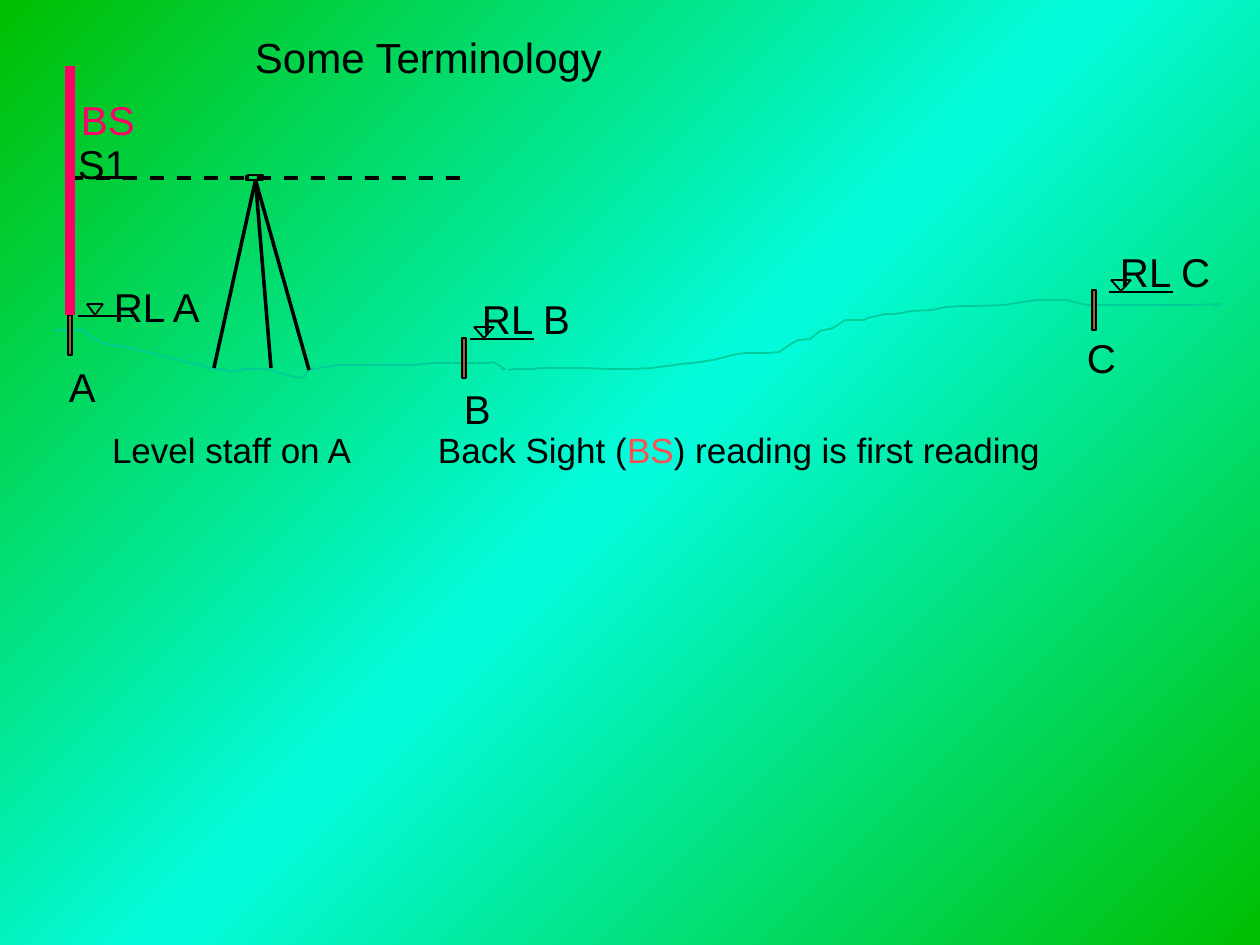
from copy import deepcopy
from dataclasses import dataclass

from lxml import etree
from pptx import Presentation
from pptx.dml.color import RGBColor
from pptx.enum.shapes import MSO_CONNECTOR, MSO_SHAPE
from pptx.enum.text import MSO_ANCHOR, PP_ALIGN
from pptx.oxml.ns import qn
from pptx.util import Emu, Pt

STRAIGHT = MSO_CONNECTOR.STRAIGHT
RECTANGLE = MSO_SHAPE.RECTANGLE
TOP, LEFT = MSO_ANCHOR.TOP, PP_ALIGN.LEFT
TOP_SIDE, BOTTOM_SIDE = 0, 2
EMU_PER_PX = 914400 / 126


@dataclass(frozen=True)
class Theme:
    """Colours, font and type sizes of the slide."""
    font: str = "Arial"
    title: int = 24
    label: int = 23
    caption: int = 20
    ink: RGBColor = RGBColor(0, 0, 0)
    ground: RGBColor = RGBColor(0x00, 0xCC, 0x99)
    peg: RGBColor = RGBColor(0x99, 0x66, 0x33)
    staff: RGBColor = RGBColor(0xFF, 0x00, 0x66)
    sight: RGBColor = RGBColor(0xFF, 0x50, 0x50)
    edge: RGBColor = RGBColor(0x00, 0xBE, 0x00)
    middle: RGBColor = RGBColor(0x04, 0xFC, 0xDE)


THEME = Theme()

GROUND_LEFT = [
    (54, 330), (83, 330), (88, 335), (95, 339), (101, 342), (110, 345), (126, 347),
    (137, 350), (151, 353), (171, 358), (187, 362), (203, 366), (213, 369), (222, 369),
    (231, 372), (246, 369), (268, 369), (286, 375), (299, 378), (304, 377), (309, 370),
    (325, 367), (339, 365), (415, 365), (433, 363), (490, 363), (493, 362), (505, 369),
    (501, 369),
]
GROUND_RIGHT = [
    (508, 370), (515, 369), (534, 369), (539, 368), (582, 368), (609, 369), (634, 369),
    (651, 368), (675, 365), (680, 364), (693, 363), (713, 360), (721, 358), (737, 354),
    (746, 353), (766, 353), (779, 352), (791, 344), (798, 340), (810, 339), (820, 331),
    (833, 328), (845, 320), (864, 320), (868, 318), (885, 314), (895, 314), (912, 311),
    (932, 310), (946, 307), (960, 306), (979, 306), (1004, 305), (1023, 302), (1037, 300),
    (1068, 300), (1074, 302), (1082, 304), (1089, 305), (1191, 305), (1221, 304),
    (1216, 304), (1216, 307),
]


def px(*lengths):
    """Turn pixel lengths into EMU."""
    return [Emu(round(length * EMU_PER_PX)) for length in lengths]


def paint_background(page):
    """Fill the page with a diagonal gradient of three stops."""
    fill = page.background.fill
    fill.gradient()
    fill.gradient_angle = 135
    stop_list = page.element.find(".//" + qn("a:gsLst"))
    stop_list.insert(1, deepcopy(stop_list[0]))
    colors = (THEME.edge, THEME.middle, THEME.edge)
    for stop, place, color in zip(fill.gradient_stops, (0, 0.5, 1), colors):
        stop.position = place
        stop.color.rgb = color


def write(box, spans, size):
    """Set one unwrapped line of coloured spans in a box."""
    frame = box.text_frame
    frame.word_wrap = False
    frame.vertical_anchor = TOP
    para = frame.paragraphs[0]
    para.alignment = LEFT
    para.font.name = THEME.font
    para.font.size = Pt(size)
    for text, color in spans:
        span = para.add_run()
        span.text = text
        span.font.color.rgb = color


def add_title(page, text):
    """Place and format the title."""
    title = page.shapes.title
    title.left, title.top, title.width, title.height = px(242, 25, 378, 63)
    frame = title.text_frame
    frame.margin_left, frame.margin_right = px(13, 13)
    frame.margin_top, frame.margin_bottom = px(6, 6)
    write(title, [(text, THEME.ink)], THEME.title)


def add_text(shapes, left, top, width, height, spans, size):
    """Add a text box without margins."""
    box = shapes.add_textbox(*px(left, top, width, height))
    frame = box.text_frame
    frame.margin_left = frame.margin_right = frame.margin_top = frame.margin_bottom = 0
    write(box, spans, size)


def add_label(shapes, left, top, width, text, color=THEME.ink):
    """Add a label of the diagram."""
    add_text(shapes, left, top, width, 48, [(text, color)], THEME.label)


def add_rectangle(shapes, left, top, width, height, fill=None, outlined=True):
    """Add a rectangle with an optional fill and outline."""
    shape = shapes.add_shape(RECTANGLE, *px(left, top, width, height))
    shape.shadow.inherit = False
    if fill is None:
        shape.fill.background()
    else:
        shape.fill.solid()
        shape.fill.fore_color.rgb = fill
    if outlined:
        shape.line.color.rgb = THEME.ink
        shape.line.width = Pt(1)
    else:
        shape.line.fill.background()
    return shape


def add_line(shapes, start, end, color=THEME.ink, weight=1):
    """Add a straight line without a shadow."""
    line = shapes.add_connector(STRAIGHT, *px(*start, *end))
    line.line.color.rgb = color
    line.line.width = Pt(weight)
    etree.SubElement(line.element.spPr, qn("a:effectLst"))
    return line


def add_ground(shapes, points):
    """Draw an open stretch of the ground profile."""
    builder = shapes.build_freeform(*points[0], scale=EMU_PER_PX)
    builder.add_line_segments(points[1:], close=False)
    ground = builder.convert_to_shape()
    ground.shadow.inherit = False
    ground.fill.background()
    ground.line.color.rgb = THEME.ground
    ground.line.width = Pt(1)


def add_level_mark(shapes, left, base, width, tip, half, label):
    """Draw a level line, its triangle and its label."""
    add_line(shapes, (left, base), (left + width, base))
    label_left, label_top, text = label
    add_label(shapes, label_left, label_top, 100, text)
    corners = [(tip - half, base - 12), (tip + half, base - 12), (tip, base - 1)]
    for index, corner in enumerate(corners):
        add_line(shapes, corners[index - 1], corner)


def add_instrument(shapes):
    """Draw the line of sight, the telescope and its tripod."""
    for index in range(15):
        add_rectangle(shapes, round(69 + 26.9 * index), 176, 14, 4, THEME.ink, False)
    telescope = add_rectangle(shapes, 248, 175, 15, 5)
    add_rectangle(shapes, 246, 176, 2, 4)
    for foot in ((214, 368), (309, 370), (271, 368)):
        leg = add_line(shapes, (255, 180), foot, weight=2)
        leg.begin_connect(telescope, BOTTOM_SIDE)


def main():
    """Build the slide and save it."""
    deck = Presentation()
    deck.slide_width, deck.slide_height = px(1260, 945)
    page = deck.slides.add_slide(deck.slide_layouts[5])
    paint_background(page)
    add_title(page, "Some Terminology")

    terrain = page.shapes.add_group_shape().shapes
    add_ground(terrain, GROUND_LEFT)
    add_ground(terrain, GROUND_RIGHT)
    pegs = [add_rectangle(terrain, left, top, 4, 40, THEME.peg)
            for left, top in ((68, 315), (462, 338), (1092, 290))]
    for left, top, text in ((69, 362, "A"), (464, 384, "B"), (1087, 333, "C")):
        add_label(terrain, left, top, 36, text)

    levels = page.shapes.add_group_shape().shapes
    add_level_mark(levels, 78, 316, 56, 95, 8, (114, 282, "RL A"))
    add_level_mark(levels, 470, 339, 64, 484, 10, (482, 294, "RL B"))
    add_level_mark(levels, 1109, 292, 64, 1121, 10, (1120, 247, "RL C"))

    add_instrument(page.shapes.add_group_shape().shapes)

    reading = page.shapes.add_group_shape().shapes
    staff = add_line(reading, (70, 66), (70, 315), THEME.staff, 6)
    staff.end_connect(pegs[0], TOP_SIDE)
    add_label(reading, 78, 139, 60, "S1")

    add_text(page.shapes, 112, 428, 256, 42, [("Level staff on A", THEME.ink)], THEME.caption)
    add_text(page.shapes, 438, 428, 630, 42, [
        ("Back Sight (", THEME.ink),
        ("BS", THEME.sight),
        (") reading is first reading", THEME.ink),
    ], THEME.caption)
    add_label(page.shapes, 81, 95, 64, "BS", THEME.staff)
    deck.save("out.pptx")


if __name__ == "__main__":
    main()
